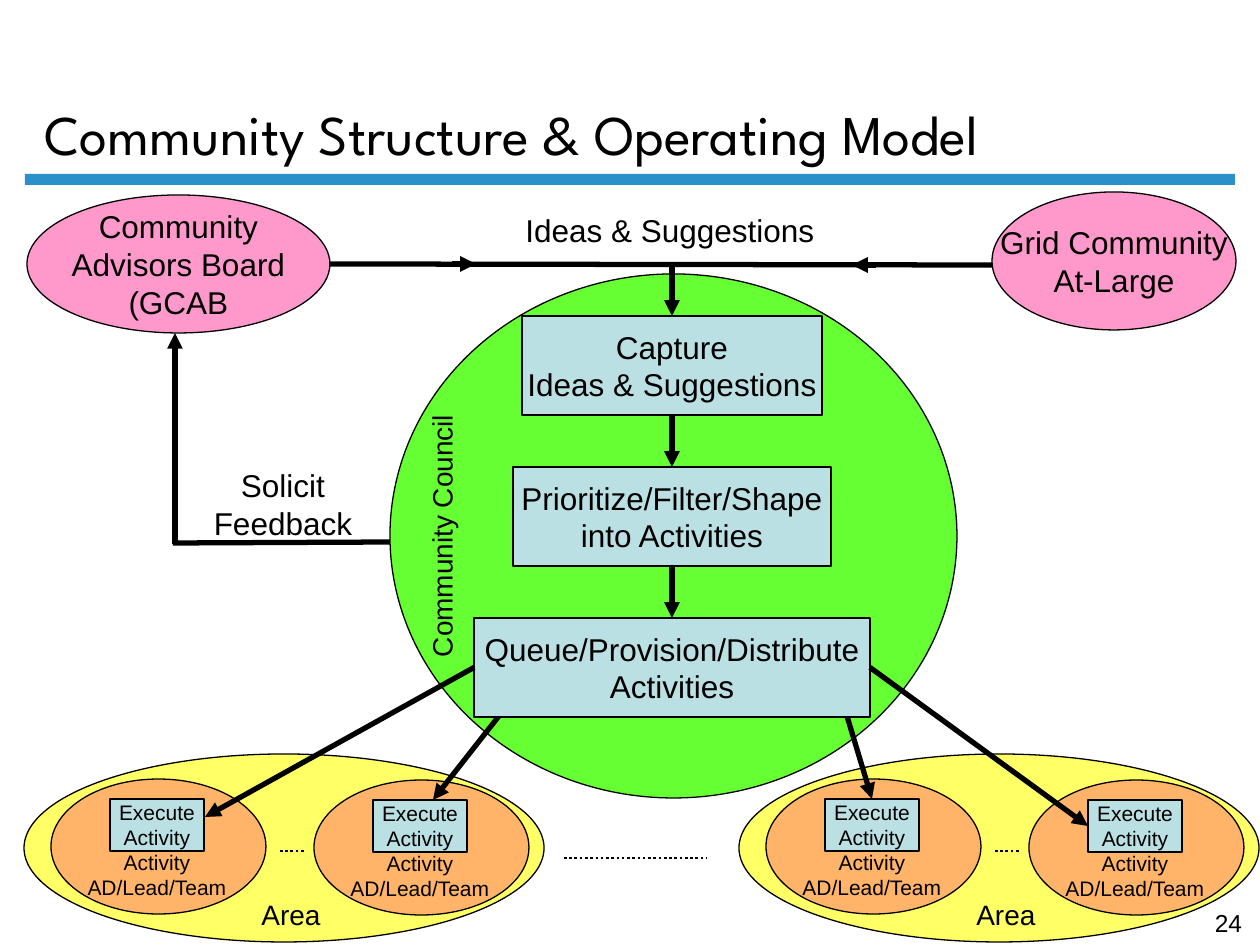
from lxml import etree
from pptx import Presentation
from pptx import util as u
from pptx.dml.color import RGBColor
from pptx.enum import dml, shapes, text
from pptx.oxml import ns

PX = 914400 / 126
BLACK = RGBColor(0x00, 0x00, 0x00)
BLUE = RGBColor(0x29, 0x90, 0xCA)
GREEN = RGBColor(0x66, 0xFF, 0x33)
PINK = RGBColor(0xFF, 0x99, 0xCC)
YELLOW = RGBColor(0xFF, 0xFF, 0x66)
ORANGE = RGBColor(0xFF, 0xB4, 0x69)
TEAL = RGBColor(0xBB, 0xE0, 0xE3)
OVAL = shapes.MSO_SHAPE.OVAL
RECT = shapes.MSO_SHAPE.RECTANGLE
LEFT = text.PP_ALIGN.LEFT
CENTER = text.PP_ALIGN.CENTER
TOP, MIDDLE, BOTTOM = text.MSO_ANCHOR.TOP, text.MSO_ANCHOR.MIDDLE, text.MSO_ANCHOR.BOTTOM

prs = Presentation()
prs.slide_width, prs.slide_height = u.Inches(10), u.Inches(7.5)
s = prs.slides.add_slide(prs.slide_layouts[6])


def put(box, words="", kind=None, fill=None, line=BLACK, size=18, font="Arial",
        align=CENTER, anchor=TOP, wrap=False, turn=0):
    place = [round(v * PX) for v in box]
    if kind is None:
        sp = s.shapes.add_textbox(*place)
    else:
        sp = s.shapes.add_shape(kind, *place)
        sp.shadow.inherit = False
        sp.fill.solid()
        sp.fill.fore_color.rgb = fill
        if line is None:
            sp.line.fill.background()
        else:
            sp.line.color.rgb = line
            sp.line.width = u.Pt(0.75)
    sp.rotation = turn
    if words:
        tf = sp.text_frame
        tf.word_wrap = wrap
        tf.vertical_anchor = anchor
        for i, row in enumerate(words.split("\n")):
            p = tf.add_paragraph() if i else tf.paragraphs[0]
            p.alignment = align
            r = p.add_run()
            r.text = row
            r.font.size = u.Pt(size)
            r.font.name = font
            r.font.color.rgb = BLACK
    return sp


def link(x1, y1, x2, y2, arrow=True, width=3, dots=False, begin=None, end=None):
    ends = [round(v * PX) for v in (x1, y1, x2, y2)]
    cx = s.shapes.add_connector(shapes.MSO_CONNECTOR.STRAIGHT, *ends)
    if begin:
        cx.begin_connect(*begin)
    if end:
        cx.end_connect(*end)
    cx.line.color.rgb = BLACK
    cx.line.width = u.Pt(width)
    if dots:
        cx.line.dash_style = dml.MSO_LINE.ROUND_DOT
    if arrow:
        etree.SubElement(cx.line._get_or_add_ln(), ns.qn("a:tailEnd"), type="triangle")
    etree.SubElement(cx._element.spPr, ns.qn("a:effectLst"))


put((25, 174, 1210, 11), kind=RECT, fill=BLUE, line=None)
put((1201, 902, 55, 43), "24", size=14, wrap=True)
put((32, 15, 1078, 158), "Community Structure & Operating Model", size=32,
    font="League Spartan", align=LEFT, anchor=BOTTOM, wrap=True)

put((390, 274, 567, 524), kind=OVAL, fill=GREEN)
put((308, 513, 267, 46), "Community Council", size=16, align=LEFT, turn=270)
link(390, 542, 173, 543, arrow=False)
link(175, 544, 175, 333)
put((201, 460, 164, 88), "Solicit\nFeedback")

put((27, 195, 303, 138), "Community\nAdvisors Board\n(GCAB", OVAL, PINK, anchor=MIDDLE)
put((992, 192, 244, 138), "Grid Community\nAt-Large", OVAL, PINK, anchor=MIDDLE)
put((513, 205, 314, 50), "Ideas & Suggestions", align=LEFT)
link(330, 264, 992, 265, arrow=False)
link(452, 264, 476, 264)
link(876, 265, 852, 265)

link(564, 858, 707, 858, arrow=False, width=1.5, dots=True)
tasks = []
for x in (24, 739):
    put((x, 754, 520, 188), kind=OVAL, fill=YELLOW)
    put((x + 225, 891, 84, 47), "Area", size=16, align=LEFT)
    link(x + 256, 851, x + 282, 851, arrow=False, width=1.5, dots=True)
    for tx, ty in ((x + 27, 779), (x + 290, 780)):
        put((tx, ty, 215, 135), kind=OVAL, fill=ORANGE)
        put((tx + 23, ty + 64, 166, 63), "Activity\nAD/Lead/Team", size=12, wrap=True)
        tasks.append(put((tx + 59, ty + 20, 94, 52), "Execute\nActivity", RECT, TEAL,
                         size=12, anchor=MIDDLE))

link(510, 702, 433, 800)
link(844, 706, 871, 798, end=(tasks[2], 0))

steps = []
for y, w, words in ((316, 300, "Capture\nIdeas & Suggestions"),
                    (467, 318, "Prioritize/Filter/Shape\ninto Activities"),
                    (618, 396, "Queue/Provision/Distribute\nActivities")):
    steps.append(put((672 - w // 2, y, w, 99), words, RECT, TEAL, anchor=MIDDLE))

link(672, 265, 672, 316, end=(steps[0], 0))
for upper, lower in zip(steps, steps[1:]):
    link(672, 0, 672, 0, begin=(upper, 2), end=(lower, 0))
link(474, 667, 205, 817, begin=(steps[2], 1))
link(870, 667, 1088, 826, begin=(steps[2], 3), end=(tasks[3], 1))

prs.save("out.pptx")
